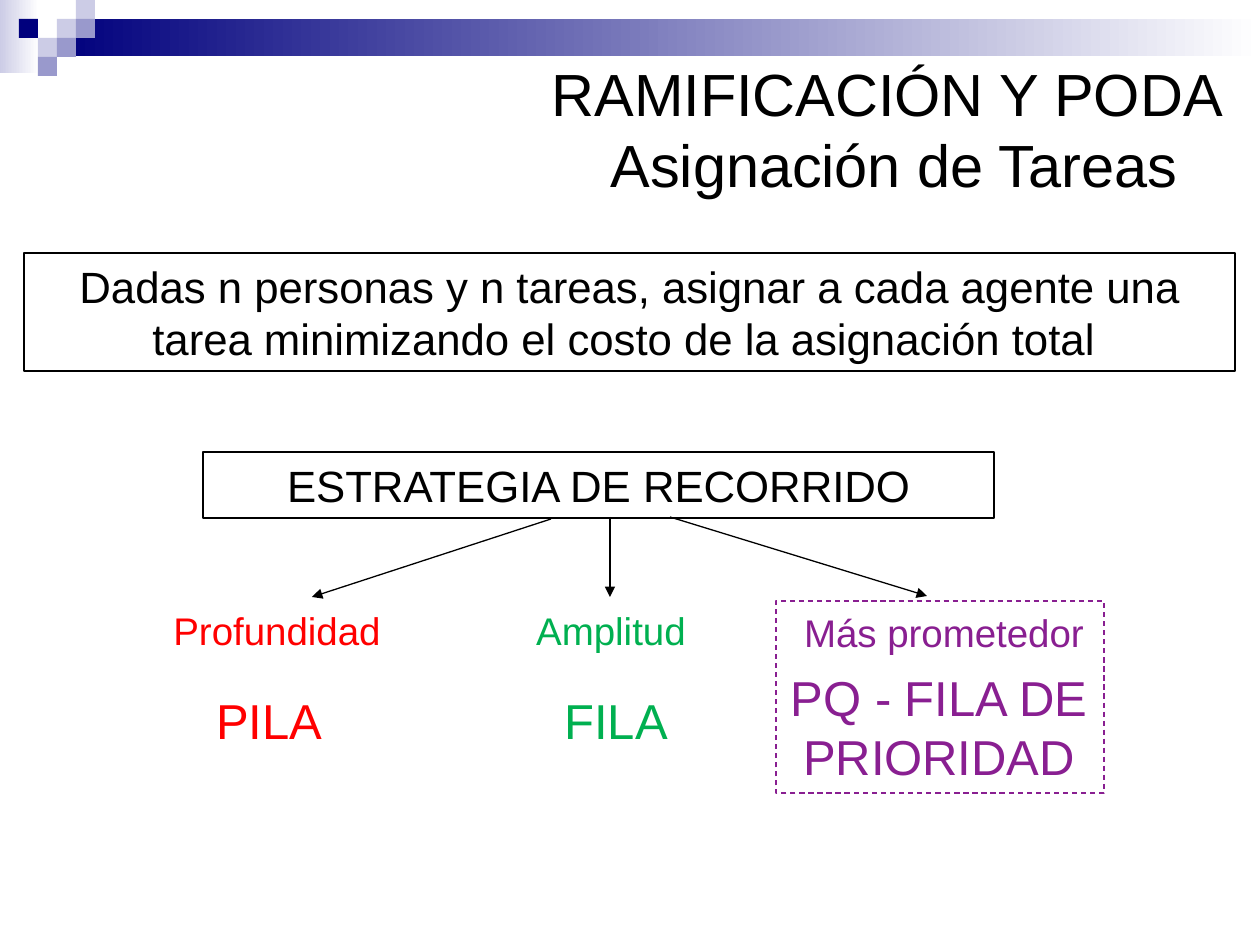
from lxml.etree import SubElement
from pptx import Presentation
from pptx.dml.color import RGBColor
from pptx.enum.dml import MSO_LINE as Dash
from pptx.enum.shapes import MSO_CONNECTOR as Link, MSO_SHAPE as Shape
from pptx.enum.text import MSO_ANCHOR as Anchor, MSO_AUTO_SIZE as Fit, PP_ALIGN as Align
from pptx.oxml.ns import qn
from pptx.util import Pt

PX = 914400 / 126
CELL = 19
HEX = {
    "black": "000000", "white": "FFFFFF", "navy": "00007D", "pale": "CCCCE6",
    "mid": "9999CC", "red": "FF0000", "green": "00B050", "purple": "891F91",
}


def emu(*vals):
    return [round(v * PX) for v in vals]


def rgb(name):
    return RGBColor.from_string(HEX[name])


def style(frame, size, tone, align=Align.CENTER):
    for para in frame.paragraphs:
        para.alignment = align
        for run in para.runs:
            font = run.font
            font.name, font.size = "Arial", Pt(size)
            font.color.rgb = rgb(tone)


def add_rect(slide, box):
    rect = slide.shapes.add_shape(Shape.RECTANGLE, *emu(*box))
    rect.shadow.inherit = False
    return rect


def add_block(slide, box, tone, fade=False):
    """Draw a borderless rectangle, plain or fading to white on the right."""
    fill = add_rect(slide, box)
    fill.line.fill.background()
    fill = fill.fill
    if not fade:
        fill.solid()
        fill.fore_color.rgb = rgb(tone)
        return
    fill.gradient()
    fill.gradient_angle = 0
    for stop, name, pos in zip(fill.gradient_stops, (tone, "white"), (0, 1)):
        stop.color.rgb = rgb(name)
        stop.position = pos


def add_frame(slide, box, tone="black", text="", dash=None):
    rect = add_rect(slide, box)
    rect.fill.background()
    rect.line.color.rgb = rgb(tone)
    rect.line.width = Pt(0.75)
    if dash:
        rect.line.dash_style = dash
    if text:
        rect.text_frame.text = text
        style(rect.text_frame, 25, tone)


def add_label(slide, box, text, size, tone, anchor=Anchor.TOP, align=Align.CENTER, wrap=False):
    frame = slide.shapes.add_textbox(*emu(*box)).text_frame
    frame.word_wrap = wrap
    frame.vertical_anchor = anchor
    frame.text = text
    style(frame, size, tone, align)


def add_arrow(slide, start, end):
    line = slide.shapes.add_connector(Link.STRAIGHT, *emu(*start, *end))
    line.line.color.rgb = rgb("black")
    line.line.width = Pt(0.75)
    SubElement(line.line._get_or_add_ln(), qn("a:tailEnd"), type="triangle")
    SubElement(line._element.spPr, qn("a:effectLst"))


def add_banner(slide):
    add_block(slide, (0, 0, 39, 73), "pale", fade=True)
    add_block(slide, (57, 19, 1203, 37), "navy", fade=True)
    cells = [(3, 1, "pale"), (4, 0, "pale"), (4, 1, "mid"), (2, 2, "pale"),
             (1, 1, "navy"), (3, 2, "mid"), (2, 3, "mid")]
    for col, row, tone in cells:
        add_block(slide, (col * CELL, row * CELL, CELL, CELL), tone)


def set_title(slide, box, text):
    title = slide.shapes.title
    title.left, title.top, title.width, title.height = emu(*box)
    frame = title.text_frame
    frame.text = text
    frame.auto_size = Fit.NONE
    frame.vertical_anchor = Anchor.MIDDLE
    style(frame, 34, "black")


def main():
    deck = Presentation()
    deck.slide_width, deck.slide_height = emu(1260, 945)
    slide = deck.slides.add_slide(deck.slide_layouts[5])

    add_banner(slide)
    set_title(slide, (510, 34, 755, 189), "RAMIFICACIÓN Y PODA\v Asignación de Tareas")
    add_frame(slide, (24, 253, 1211, 118),
              text="Dadas n personas y n tareas, asignar a cada agente una "
                   "tarea minimizando el costo de la asignación total ")
    add_frame(slide, (203, 452, 791, 66), text="ESTRATEGIA DE RECORRIDO")

    for start, end in [((551, 519), (312, 597)), ((610, 517), (610, 597)),
                       ((670, 517), (927, 596))]:
        add_arrow(slide, start, end)

    add_frame(slide, (776, 601, 328, 192), "purple", dash=Dash.DASH)
    orders = [
        ("Profundidad", (103, 601, 348, 59), "red"),
        ("Amplitud", (512, 601, 198, 59), "green"),
        ("Más prometedor", (789, 603, 310, 59), "purple"),
    ]
    for text, box, tone in orders:
        add_label(slide, box, text, 22, tone, Anchor.MIDDLE, wrap=True)
    stores = [
        ("PILA", (204, 684, 131, 72), "red", Align.LEFT),
        ("FILA", (552, 684, 129, 72), "green", Align.LEFT),
        ("PQ - FILA DE\nPRIORIDAD", (777, 661, 324, 131), "purple", Align.CENTER),
    ]
    for text, box, tone, align in stores:
        add_label(slide, box, text, 28, tone, align=align)

    deck.save("out.pptx")


if __name__ == "__main__":
    main()
